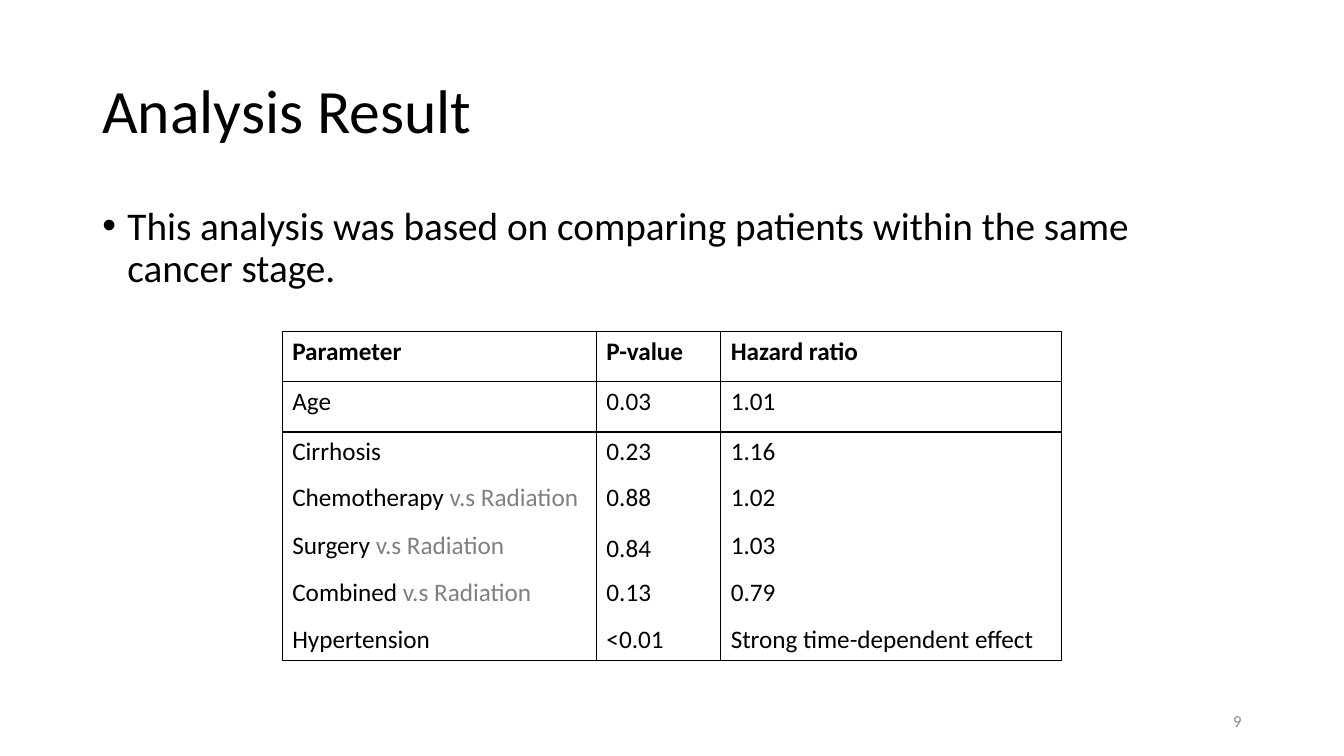
from lxml.etree import SubElement
from pptx import Presentation
from pptx.dml.color import RGBColor
from pptx.enum.text import MSO_ANCHOR, PP_ALIGN
from pptx.oxml.ns import qn
from pptx.util import Inches, Pt

COLORS = {"ink": "000000", "muted": "808080", "number": "8C8C8C"}
FONT = "Calibri"

# The slide is a grid of square units; boxes are left, top, width, height
COLUMNS, ROWS = 160, 90
UNIT = Inches(1 / 12)
TITLE_BOX = (11, 4.8, 138, 17.4)
BODY_BOX = (11, 24, 135.8, 57.1)
TABLE_BOX = (33.6, 39.5, 92.8, 39.1)
NUMBER_BOX = (113, 83.4, 36, 4.8)

COLUMN_WIDTHS = (37.4, 14.8, 40.6)
ROW_HEIGHTS = (5.9, 6, 5.4, 5.8, 5.6, 5.6, 4.8)
BASELINE = " v.s Radiation"
RESULTS = [
    ("Parameter", "P-value", "Hazard ratio"),
    ("Age", "0.03", "1.01"),
    ("Cirrhosis", "0.23", "1.16"),
    ("Chemotherapy" + BASELINE, "0.88", "1.02"),
    ("Surgery" + BASELINE, "0.84", "1.03"),
    ("Combined" + BASELINE, "0.13", "0.79"),
    ("Hypertension", "<0.01", "Strong time-dependent effect"),
]
RULE_WIDTHS = {0: 1, 1: 1, 2: 1.5, len(RESULTS): 1}  # row edge: points


def units(*lengths):
    return [round(length * UNIT) for length in lengths]


def style(font, size, color="ink", bold=False):
    font.name, font.size, font.bold = FONT, Pt(size), bold
    font.color.rgb = RGBColor.from_string(COLORS[color])


def add_text(page, box, text, size, color="ink", anchor=MSO_ANCHOR.MIDDLE):
    frame = page.shapes.add_textbox(*units(*box)).text_frame
    frame.word_wrap = True
    frame.vertical_anchor = anchor
    para = frame.paragraphs[0]
    para.text = text
    style(para.font, size, color)
    return para


def add_title(page, box):
    add_text(page, box, "Analysis Result", 44).line_spacing = 0.9


def add_body(page, box):
    para = add_text(page, box, "This analysis was based on comparing patients "
                    "within the same cancer stage.", 28, anchor=MSO_ANCHOR.TOP)
    para.line_spacing = 0.9
    para.space_before = Pt(10)
    # Bullet with a hanging indent
    properties = para._p.get_or_add_pPr()
    properties.set("marL", str(Inches(0.25)))
    properties.set("indent", str(-Inches(0.25)))
    SubElement(properties, qn("a:buFont"), typeface="Arial")
    SubElement(properties, qn("a:buChar"), char="•")


def add_border(cell, side, points):
    line = SubElement(cell._tc.get_or_add_tcPr(), qn("a:ln" + side),
                      w=str(Pt(points)))
    if points:
        fill = SubElement(line, qn("a:solidFill"))
        SubElement(fill, qn("a:srgbClr"), val=COLORS["ink"])
    else:
        SubElement(line, qn("a:noFill"))


def fill_cell(cell, text, bold):
    para = cell.text_frame.paragraphs[0]
    style(para.font, 18, bold=bold)
    name, baseline, _ = text.partition(BASELINE)
    para.add_run().text = name + " " if baseline else name
    if baseline:
        span = para.add_run()
        span.text = baseline.strip()
        span.font.color.rgb = RGBColor.from_string(COLORS["muted"])


def add_results(page, box):
    table = page.shapes.add_table(len(RESULTS), len(COLUMN_WIDTHS),
                                  *units(*box)).table
    table.first_row = table.horz_banding = False
    for column, width in zip(table.columns, units(*COLUMN_WIDTHS)):
        column.width = width
    for row, height in zip(table.rows, units(*ROW_HEIGHTS)):
        row.height = height
    for index, values in enumerate(RESULTS):
        for cell, text in zip(table.rows[index].cells, values):
            fill_cell(cell, text, bold=index == 0)
            edges = {"L": 1, "R": 1, "T": RULE_WIDTHS.get(index, 0),
                     "B": RULE_WIDTHS.get(index + 1, 0)}
            for side, points in edges.items():
                add_border(cell, side, points)
            cell.fill.background()
    # The surgery p-value sits mid-cell
    table.cell(4, 1).vertical_anchor = MSO_ANCHOR.MIDDLE


def add_page_number(page, box):
    add_text(page, box, "9", 12, "number").alignment = PP_ALIGN.RIGHT


def main():
    deck = Presentation()
    deck.slide_width, deck.slide_height = units(COLUMNS, ROWS)
    page = deck.slides.add_slide(deck.slide_layouts[6])
    add_title(page, TITLE_BOX)
    add_results(page, TABLE_BOX)
    add_body(page, BODY_BOX)
    add_page_number(page, NUMBER_BOX)
    deck.save("out.pptx")


if __name__ == "__main__":
    main()
